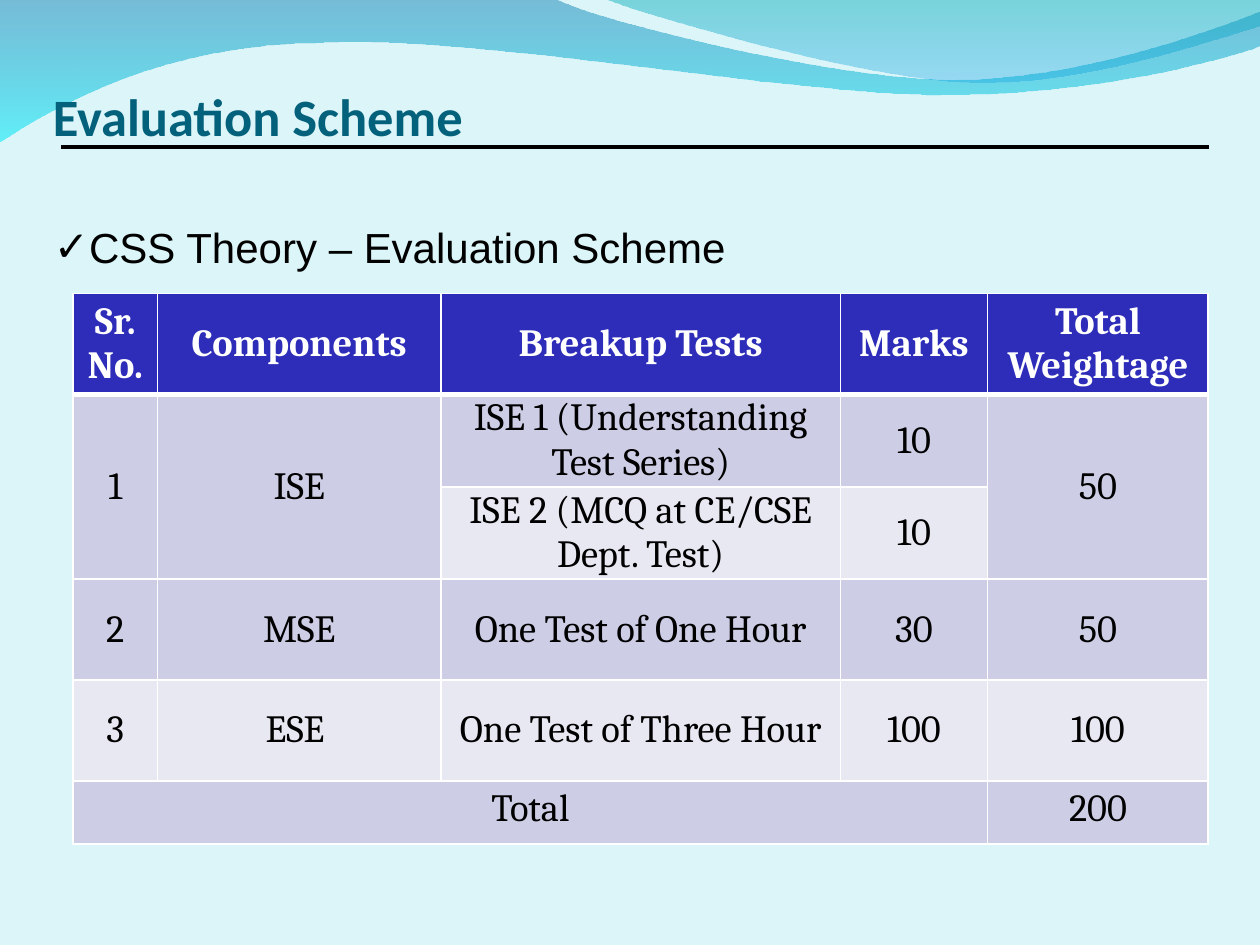
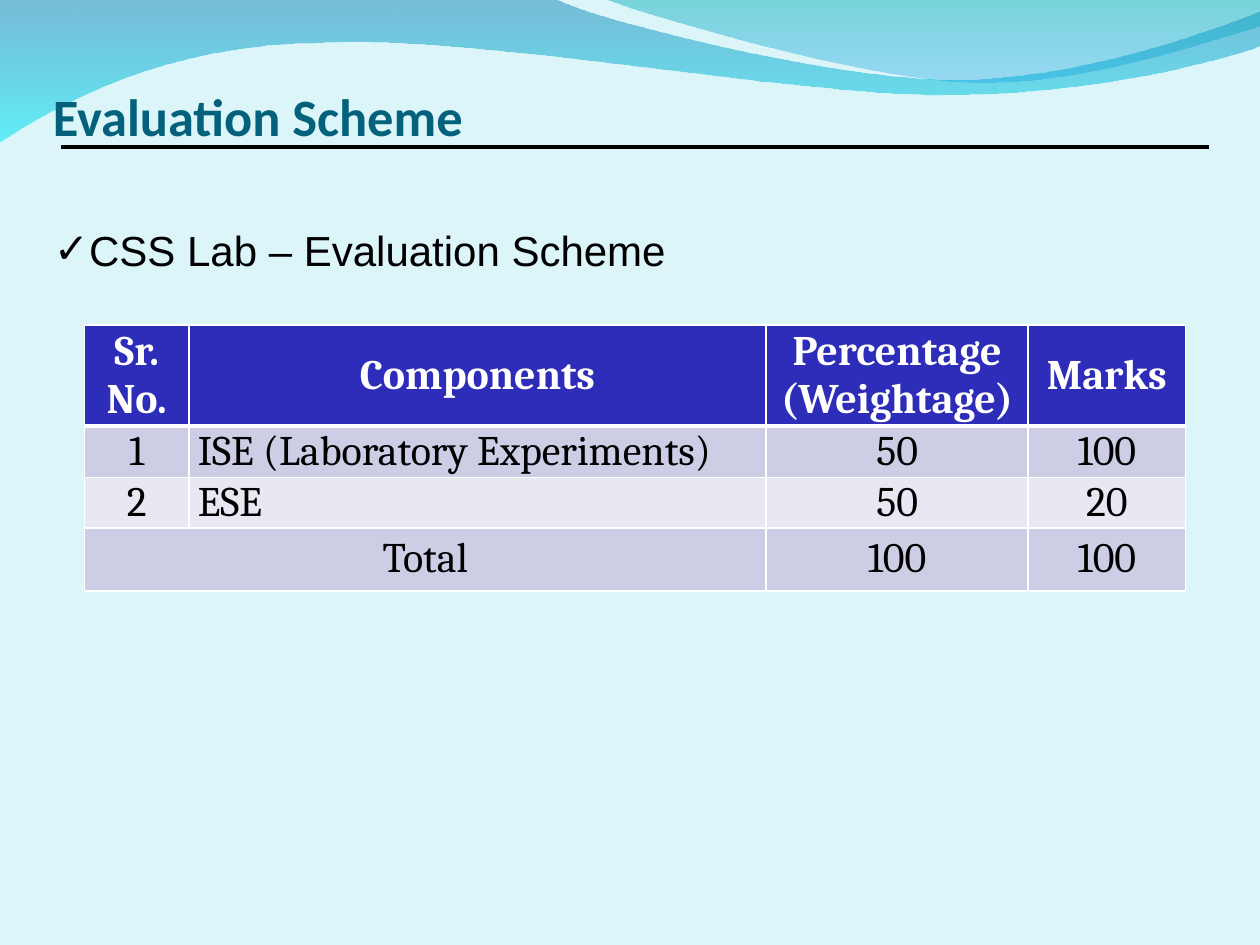
from lxml import etree
from pptx import Presentation
from pptx.dml.color import RGBColor
from pptx.enum.shapes import MSO_CONNECTOR
from pptx.enum.text import MSO_ANCHOR, PP_ALIGN
from pptx.oxml.ns import qn
from pptx.util import Inches, Pt

# Shared colours
BACKGROUND = "DBF5F9"
TITLE = "04617B"
BLACK = "000000"
WHITE = "FFFFFF"
HEADER = "2D2DB9"
BANDS = ("CDCDE6", "E8E8F3")

# Waves: start point, then line ends (1 point) or Bezier curves (3 points)
LEFT_WAVE = [
    [(0, -0.01)],
    [(4.4, -0.01)],
    [(4.76, 0.17), (6.64, 0.63), (7.58, 0.63)],
    [(8.53, 0.63), (9.58, 0.26), (10, 0.09)],
    [(10.01, 0.36)],
    [(9.83, 0.44), (8.7, 0.76), (7.46, 0.75)],
    [(6.22, 0.75), (3.82, 0.28), (2.57, 0.34)],
    [(1.29, 0.35), (0.46, 0.83), (-0.01, 1.13)],
    [(0, -0.01)],
]
RIGHT_WAVE = [
    [(4.79, -0.01)],
    [(5.09, 0.11), (6.82, 0.62), (7.69, 0.65)],
    [(8.56, 0.69), (9.61, 0.32), (10, 0.21)],
    [(10, 0)],
    [(4.79, -0.01)],
]


def rgb(color):
    return RGBColor.from_string(color)


def set_font(p, name, size, color, bold=False):
    p.font.name = name
    p.font.size = Pt(size)
    p.font.bold = bold
    p.font.color.rgb = rgb(color)


# Background waves
def bend_curves(sp, segments):
    """Join each three lines that stand for a curve into one Bezier."""
    lines = iter(list(sp._element.spPr.iter(qn("a:lnTo"))))
    for segment in segments:
        parts = [next(lines) for _ in segment]
        if len(parts) == 3:
            curve = etree.Element(qn("a:cubicBezTo"))
            parts[0].addprevious(curve)
            for part in parts:
                curve.append(part[0])
                part.getparent().remove(part)


def add_wave(s, segments, stops):
    points = [(Inches(x), Inches(y)) for segment in segments for x, y in segment]
    builder = s.shapes.build_freeform(*points[0])
    builder.add_line_segments(points[1:], close=True)
    sp = builder.convert_to_shape()
    bend_curves(sp, segments[1:])
    sp.shadow.inherit = False
    sp.line.fill.background()
    sp.fill.gradient()
    sp.fill.gradient_angle = 270
    for stop, (color, _) in zip(sp.fill.gradient_stops, stops):
        stop.color.rgb = rgb(color)
    colors = sp._element.spPr.iter(qn("a:srgbClr"))
    for element, (_, opacity) in zip(colors, stops):
        etree.SubElement(element, qn("a:alpha"), val=str(opacity * 1000))


# Text and rule
def add_text(s, text, box, margins, anchor=MSO_ANCHOR.TOP):
    tf = s.shapes.add_textbox(*map(Inches, box)).text_frame
    tf.word_wrap = True
    tf.vertical_anchor = anchor
    tf.margin_left, tf.margin_top, tf.margin_right, tf.margin_bottom = map(Inches, margins)
    p = tf.paragraphs[0]
    p.text = text
    return p


def add_title(s, text):
    p = add_text(s, text, (0.42, 0.25, 9.17, 0.92), (0, 0.05, 0, 0), MSO_ANCHOR.BOTTOM)
    set_font(p, "Calibri", 30, TITLE, bold=True)


def add_check_item(s, text, top, height):
    p = add_text(s, text, (0.33, top, 9.33, height), (0.1, 0.05, 0.1, 0.05))
    p.alignment = PP_ALIGN.JUSTIFY
    p.line_spacing = 1.5
    set_font(p, "Arial", 24, BLACK)
    font = p._p.get_or_add_pPr().find(qn("a:defRPr"))
    font.addprevious(etree.Element(qn("a:buFont"), typeface="Arial"))
    font.addprevious(etree.Element(qn("a:buChar"), char="✓"))


def add_rule(s):
    line = s.shapes.add_connector(
        MSO_CONNECTOR.STRAIGHT, Inches(0.5), Inches(1.17), Inches(9.58), Inches(1.17))
    line.line.color.rgb = rgb(BLACK)
    line.line.width = Pt(2.25)
    line._element.spPr.find(qn("a:ln")).set("cap", "sq")
    etree.SubElement(line._element.spPr, qn("a:effectLst"))


# Tables
def set_borders(cell, top, bottom):
    tcPr = cell._tc.get_or_add_tcPr()
    widths = (("a:lnL", 1), ("a:lnR", 1), ("a:lnT", top), ("a:lnB", bottom))
    for i, (tag, width) in enumerate(widths):
        ln = etree.Element(qn(tag), w=str(Pt(width)))
        fill = etree.SubElement(ln, qn("a:solidFill"))
        etree.SubElement(fill, qn("a:srgbClr"), val=WHITE)
        tcPr.insert(i, ln)


def style_cell(cell, text, row, is_total, size, align):
    is_header = row == 0
    cell.text = text
    cell.fill.solid()
    cell.fill.fore_color.rgb = rgb(HEADER if is_header else BANDS[(row - 1) % 2])
    side, edge = (0.1, 0.05) if is_total else (0.07, 0)
    cell.margin_left = cell.margin_right = Inches(side)
    cell.margin_top = cell.margin_bottom = Inches(edge)
    cell.vertical_anchor = MSO_ANCHOR.TOP if is_total else MSO_ANCHOR.MIDDLE
    for p in cell.text_frame.paragraphs:
        p.alignment = align
        set_font(p, "Cambria", size, WHITE if is_header else BLACK, bold=is_header)
    set_borders(cell, top=3 if row == 1 else 1, bottom=3 if is_header else 1)


def add_marks_table(s, left, top, widths, heights, rows, size, merges, left_column=None):
    frame = s.shapes.add_table(len(rows), len(widths), Inches(left), Inches(top),
                               Inches(sum(widths)), Inches(sum(heights)))
    table = frame.table
    for column, width in zip(table.columns, widths):
        column.width = Inches(width)
    for row, height in zip(table.rows, heights):
        row.height = Inches(height)
    last = len(rows) - 1
    for r, values in enumerate(rows):
        for c, text in enumerate(values):
            is_left = c == left_column and 0 < r < last
            align = PP_ALIGN.LEFT if is_left else PP_ALIGN.CENTER
            style_cell(table.cell(r, c), text, r, r == last, size, align)
    for start, end in merges:
        table.cell(*start).merge(table.cell(*end))


def add_scheme_slide(prs, item, item_top, item_height):
    s = prs.slides.add_slide(prs.slide_layouts[6])
    s.background.fill.solid()
    s.background.fill.fore_color.rgb = rgb(BACKGROUND)
    add_wave(s, LEFT_WAVE, (("0079AF", 46), ("00EBF8", 56)))
    add_wave(s, RIGHT_WAVE, (("00ADB6", 46), ("009BE5", 31)))
    add_title(s, "Evaluation Scheme")
    add_check_item(s, item, item_top, item_height)
    add_rule(s)
    return s


def main():
    prs = Presentation()
    prs.slide_width, prs.slide_height = Inches(10), Inches(7.5)

    # Theory marks
    s = add_scheme_slide(prs, "CSS Theory – Evaluation Scheme", 1.51, 3.74)
    add_marks_table(
        s, 0.58, 2.33,
        widths=(0.67, 2.25, 3.17, 1.17, 1.75),
        heights=(0.8, 0.73, 0.73, 0.8, 0.8, 0.5),
        rows=[
            ("Sr. No.", "Components", "Breakup Tests", "Marks", "Total\nWeightage"),
            ("1", "ISE", "ISE 1 (Understanding Test Series)", "10", "50"),
            ("", "", "ISE 2 (MCQ at CE/CSE Dept. Test)", "10", ""),
            ("2", "MSE", "One Test of One Hour", "30", "50"),
            ("3", "ESE ", "One Test of Three Hour", "100", "100"),
            ("Total", "", "", "", "200"),
        ],
        size=22,
        merges=[((1, c), (2, c)) for c in (0, 1, 4)] + [((5, 0), (5, 3))],
    )

    # Lab marks
    s = add_scheme_slide(prs, "CSS Lab – Evaluation Scheme", 1.53, 0.63)
    add_marks_table(
        s, 0.67, 2.58,
        widths=(0.83, 4.58, 2.08, 1.25),
        heights=(0.8, 0.41, 0.4, 0.5),
        rows=[
            ("Sr. No.", "Components", "Percentage\n(Weightage)", "Marks"),
            ("1", "ISE (Laboratory Experiments)", "50", "100"),
            ("2", "ESE", "50", "20"),
            ("Total", "", "100", "100"),
        ],
        size=24,
        merges=[((3, 0), (3, 1))],
        left_column=1,
    )

    prs.save("out.pptx")


if __name__ == "__main__":
    main()
